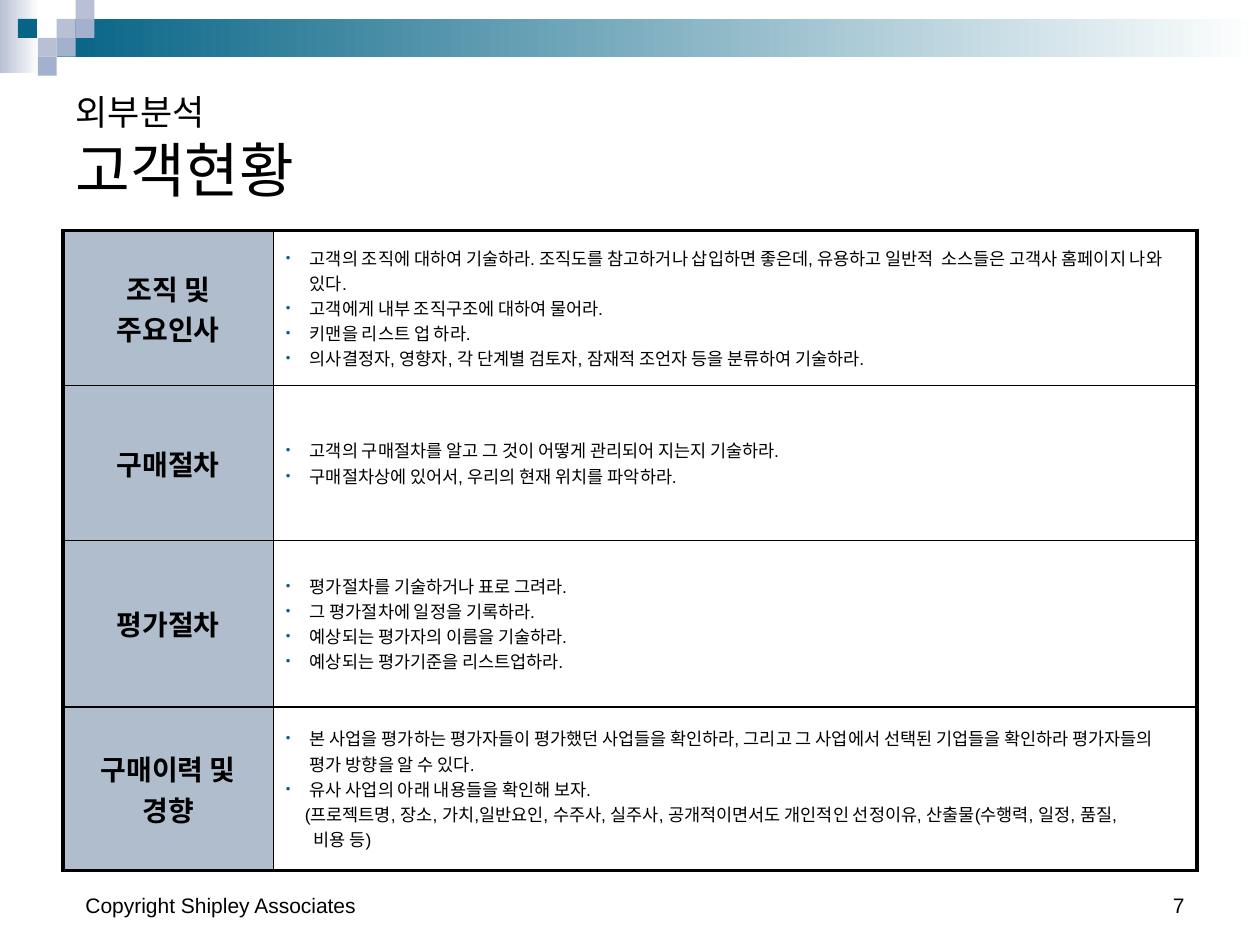
from pptx import Presentation
from pptx.dml.color import RGBColor
from pptx.enum import shapes, text
from pptx.oxml.ns import qn
from pptx.util import Inches, Pt
from lxml import etree

FONT = "Arial"
BLACK, WHITE, TEAL = "000000", "FFFFFF", "066486"
LAVENDER, BLUE_GREY, HEADING_FILL = "B9C0D5", "A4B1CC", "B0BDCD"

TITLE = [("외부분석", 20), ("고객현황", 34)]
BANDS = [  # left, top, width, height, first gradient colour
    (0, 0, 0.31, 0.58, LAVENDER),
    (0.45, 0.15, 9.55, 0.3, TEAL),
]
TILE = 0.15
TILES = [  # column, row, colour
    (3, 1, LAVENDER), (4, 0, LAVENDER), (4, 1, BLUE_GREY), (2, 2, LAVENDER),
    (0.95, 1, TEAL), (3, 2, BLUE_GREY), (2, 3, BLUE_GREY),
]
FOOTERS = [  # left, width, wording, alignment
    (7.17, 2.33, "7", text.PP_ALIGN.RIGHT),
    (0.58, 3.17, "Copyright Shipley Associates", text.PP_ALIGN.LEFT),
]
COLUMN_WIDTHS = [1.67, 7.33]
ROW_HEIGHTS = [1.23, 1.23, 1.32, 1.3]
ROWS = [  # heading, bullets
    ("조직 및 주요인사", [
        "고객의 조직에 대하여 기술하라. 조직도를 참고하거나 삽입하면 좋은데, "
        "유용하고 일반적  소스들은 고객사 홈페이지 나와 있다.",
        "고객에게 내부 조직구조에 대하여 물어라.",
        "키맨을 리스트 업 하라.",
        "의사결정자, 영향자, 각 단계별 검토자, 잠재적 조언자 등을 분류하여 기술하라.",
    ]),
    ("구매절차", [
        "고객의 구매절차를 알고 그 것이 어떻게 관리되어 지는지 기술하라.",
        "구매절차상에 있어서, 우리의 현재 위치를 파악하라.",
    ]),
    ("평가절차", [
        "평가절차를 기술하거나 표로 그려라.",
        "그 평가절차에 일정을 기록하라.",
        "예상되는 평가자의 이름을 기술하라.",
        "예상되는 평가기준을 리스트업하라.",
    ]),
    ("구매이력 및 경향", [
        "본 사업을 평가하는 평가자들이 평가했던 사업들을 확인하라, 그리고 그 사업에서 "
        "선택된 기업들을 확인하라 평가자들의 평가 방향을 알 수 있다.",
        "유사 사업의 아래 내용들을 확인해 보자.",
    ]),
]
CLOSING_NOTE = [  # wording, left margin, first-line indent
    ("(프로젝트명, 장소, 가치,일반요인, 수주사, 실주사, 공개적이면서도 개인적인 "
     "선정이유, 산출물(수행력, 일정, 품질,", 0, 0.15),
    ("비용 등)", 0.22, 0),
]


def rgb(colour):
    return RGBColor.from_string(colour)


def add_run(paragraph, wording, size, bold=False):
    run = paragraph.add_run()
    run.text = wording
    run.font.name, run.font.size, run.font.bold = FONT, Pt(size), bold
    run.font.color.rgb = rgb(BLACK)


def add_block(slide, left, top, width, height):
    block = slide.shapes.add_shape(
        shapes.MSO_SHAPE.RECTANGLE,
        Inches(left), Inches(top), Inches(width), Inches(height))
    block.shadow.inherit = False
    block.line.fill.background()
    return block


def indent(paragraph, margin, first_line):
    properties = paragraph._p.get_or_add_pPr()
    properties.set("marL", str(Inches(margin)))
    properties.set("indent", str(Inches(first_line)))
    return properties


def add_bullet(paragraph):
    properties = indent(paragraph, 0.19, -0.19)
    colour = etree.SubElement(properties, qn("a:buClr"))
    etree.SubElement(colour, qn("a:srgbClr"), val=TEAL)
    etree.SubElement(properties, qn("a:buSzPct"), val="75000")
    etree.SubElement(properties, qn("a:buFont"), typeface=FONT)
    etree.SubElement(properties, qn("a:buChar"), char="•")


def style_cell(cell, fill, row, column):
    """Fill the cell and rule it: heavy on the table's outside, thin inside."""
    outside = {"L": column == 0, "R": column == len(COLUMN_WIDTHS) - 1,
               "T": row == 0, "B": row == len(ROWS) - 1}
    properties = cell._tc.get_or_add_tcPr()
    for side, heavy in outside.items():
        line = etree.SubElement(properties, qn(f"a:ln{side}"),
                                w=str(Pt(2.25 if heavy else 1)))
        solid = etree.SubElement(line, qn("a:solidFill"))
        etree.SubElement(solid, qn("a:srgbClr"), val=BLACK)
    cell.fill.solid()
    cell.fill.fore_color.rgb = rgb(fill)
    cell.vertical_anchor = text.MSO_ANCHOR.MIDDLE


def next_paragraph(frame, index):
    return frame.add_paragraph() if index else frame.paragraphs[0]


def add_decoration(slide):
    for *place, colour in BANDS:
        band = add_block(slide, *place)
        band.fill.gradient()
        band.fill.gradient_angle = 0
        for stop, stop_colour in zip(band.fill.gradient_stops, (colour, WHITE)):
            stop.color.rgb = rgb(stop_colour)
    for column, row, colour in TILES:
        tile = add_block(slide, column * TILE, row * TILE, TILE, TILE)
        tile.fill.solid()
        tile.fill.fore_color.rgb = rgb(colour)


def add_footers(slide):
    for left, width, wording, alignment in FOOTERS:
        frame = slide.shapes.add_textbox(
            Inches(left), Inches(6.83), Inches(width), Inches(0.5)).text_frame
        frame.word_wrap = True
        frame.vertical_anchor = text.MSO_ANCHOR.BOTTOM
        frame.paragraphs[0].alignment = alignment
        add_run(frame.paragraphs[0], wording, 12)


def format_title(title):
    title.left, title.top = Inches(0.5), Inches(0.5)
    title.width, title.height = Inches(9), Inches(1.17)
    frame = title.text_frame
    frame.auto_size = text.MSO_AUTO_SIZE.NONE
    frame.vertical_anchor = text.MSO_ANCHOR.BOTTOM
    paragraph = frame.paragraphs[0]
    paragraph.alignment = text.PP_ALIGN.LEFT
    for index, (wording, size) in enumerate(TITLE):
        if index:
            paragraph.add_line_break()
        add_run(paragraph, wording, size)


def add_customer_table(slide):
    table = slide.shapes.add_table(
        len(ROWS), len(COLUMN_WIDTHS), Inches(0.5), Inches(1.83),
        Inches(sum(COLUMN_WIDTHS)), Inches(sum(ROW_HEIGHTS))).table
    for column, width in zip(table.columns, COLUMN_WIDTHS):
        column.width = Inches(width)
    for row, (heading, bullets) in enumerate(ROWS):
        table.rows[row].height = Inches(ROW_HEIGHTS[row])
        heading_cell, detail_cell = table.cell(row, 0), table.cell(row, 1)
        style_cell(heading_cell, HEADING_FILL, row, 0)
        style_cell(detail_cell, WHITE, row, 1)
        detail_cell.margin_right = Inches(0.17)
        paragraph = heading_cell.text_frame.paragraphs[0]
        paragraph.alignment = text.PP_ALIGN.CENTER
        add_run(paragraph, heading, 16, bold=True)
        for index, bullet in enumerate(bullets):
            paragraph = next_paragraph(detail_cell.text_frame, index)
            add_bullet(paragraph)
            add_run(paragraph, bullet, 10)
    for wording, margin, first_line in CLOSING_NOTE:
        paragraph = detail_cell.text_frame.add_paragraph()
        indent(paragraph, margin, first_line)
        add_run(paragraph, wording, 10)


def main():
    presentation = Presentation()
    presentation.slide_width, presentation.slide_height = Inches(10), Inches(7.5)
    slide = presentation.slides.add_slide(presentation.slide_layouts[5])
    add_decoration(slide)
    add_footers(slide)
    format_title(slide.shapes.title)
    add_customer_table(slide)
    presentation.save("out.pptx")


if __name__ == "__main__":
    main()
